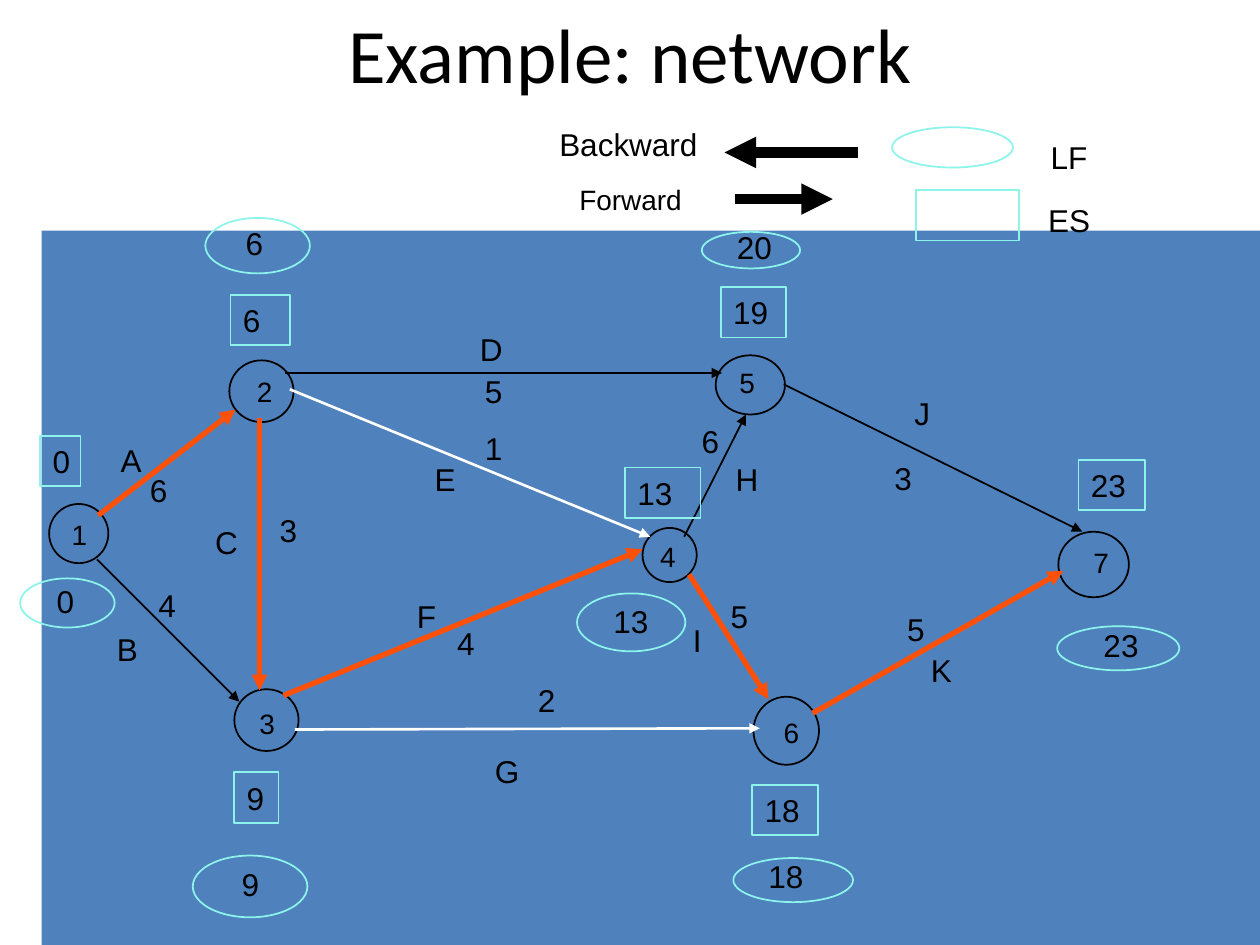
"""Build the project network slide with its forward and backward pass."""
from lxml.etree import SubElement
from pptx import Presentation
from pptx.dml.color import RGBColor
from pptx.enum.shapes import MSO_CONNECTOR, MSO_SHAPE
from pptx.enum.text import MSO_ANCHOR, PP_ALIGN
from pptx.oxml.ns import qn
from pptx.util import Inches, Pt

BLACK = RGBColor(0x00, 0x00, 0x00)
WHITE = RGBColor(0xFF, 0xFF, 0xFF)
BLUE = RGBColor(0x4F, 0x81, 0xBD)
AQUA = RGBColor(0x8C, 0xF4, 0xEA)
ORANGE = RGBColor(0xFF, 0x50, 0x08)

TITLE = "Example: network"
PANEL = (0.33, 1.83, 9.67, 5.67)

NODES = [
    ("1", (0.39, 4, 0.47, 0.47), (0.47, 4.06, 0.23)),
    ("2", (1.82, 2.86, 0.51, 0.49), (1.94, 2.92, 0.49)),
    ("3", (1.86, 5.47, 0.51, 0.49), (1.96, 5.56, 0.25)),
    ("4", (5.1, 4.19, 0.43, 0.43), (5.14, 4.23, 0.32)),
    ("5", (5.68, 2.82, 0.55, 0.47), (5.77, 2.85, 0.48)),
    ("6", (5.98, 5.53, 0.52, 0.54), (6.12, 5.63, 0.55)),
    ("7", (8.4, 4.22, 0.56, 0.52), (8.58, 4.28, 0.73)),
]

PATHS = {
    (ORANGE, 3): [
        (0.78, 4.09, 1.87, 3.25),
        (2.06, 3.32, 2.06, 5.48),
        (2.25, 5.52, 5.1, 4.36),
        (5.47, 4.56, 6.1, 5.55),
        (6.45, 5.66, 8.44, 4.53),
    ],
    (WHITE, 1.5): [
        (2.34, 5.79, 6.03, 5.78),
        (2.3, 3.09, 5.16, 4.26),
    ],
    (BLACK, 1): [
        (0.77, 4.44, 1.9, 5.57),
        (2.26, 2.96, 5.73, 2.96),
        (5.43, 4.26, 5.92, 3.29),
        (6.22, 3.05, 8.59, 4.22),
    ],
    (BLACK, 6): [
        (5.83, 1.58, 6.61, 1.58),
        (6.81, 1.21, 5.75, 1.21),
    ],
}

TASKS = [
    ("A", 0.86, 3.45, 0.43), ("B", 0.83, 4.95, 0.4),
    ("C", 1.61, 4.1, 0.35), ("D", 3.71, 2.57, 0.43),
    ("E", 3.35, 3.6, 0.48), ("F", 3.21, 4.69, 0.32),
    ("G", 3.83, 5.92, 0.44), ("H", 5.74, 3.6, 0.43),
    ("I", 5.4, 4.88, 0.27), ("J", 7.16, 3.08, 0.4),
    ("K", 7.29, 5.12, 0.35),
]

TIMES = [
    ("6", 1.09, 3.69, 0.39), ("4", 1.16, 4.6, 0.43),
    ("3", 2.12, 4.01, 0.35), ("5\n1", 3.75, 2.9, 0.45),
    ("4", 3.53, 4.9, 0.36), ("2", 4.17, 5.36, 0.32),
    ("6", 5.47, 3.3, 0.4), ("5", 5.7, 4.69, 0.57),
    ("3", 7, 3.59, 0.4), ("5", 7.1, 4.79, 0.55),
]

STARTS = [
    ("0", 0.32, 3.46, 0.32), ("6", 1.83, 2.34, 0.47),
    ("9", 1.86, 6.13, 0.35), ("13", 4.96, 3.71, 0.6),
    ("19", 5.72, 2.28, 0.52), ("18", 5.97, 6.23, 0.52),
    ("23", 8.56, 3.65, 0.53),
]

ENDS = [
    ("23", (8.39, 4.97, 0.97, 0.35), (8.66, 4.92, 0.63)),
    ("18", (5.82, 6.81, 0.95, 0.35), (6, 6.75, 0.56)),
    ("20", (5.57, 1.84, 0.78, 0.29), (5.75, 1.76, 0.53)),
    ("13", (4.58, 4.71, 0.86, 0.46), (4.77, 4.73, 0.51)),
    ("9", (1.53, 6.79, 0.91, 0.49), (1.82, 6.82, 0.57)),
    ("6", (1.63, 1.73, 0.83, 0.44), (1.85, 1.73, 0.42)),
    ("0", (0.16, 4.59, 0.75, 0.39), (0.35, 4.57, 0.42)),
]

KEY_OVAL = (7.08, 1.01, 0.96, 0.32)
KEY_BOX = (7.27, 1.51, 0.82, 0.4)
KEYS = [
    ("ES", 8.22, 1.55, 0.87, 18), ("LF", 8.24, 1.05, 0.73, 18),
    ("Forward", 4.5, 1.4, 1.06, 16), ("Backward", 4.34, 0.94, 1.31, 18),
]


def add_run(para, text, size, font):
    run = para.add_run()
    run.text = text
    run.font.size = Pt(size)
    run.font.name = font
    run.font.color.rgb = BLACK


def write(shape, text, size=18):
    frame = shape.text_frame
    frame.word_wrap = True
    frame.vertical_anchor = MSO_ANCHOR.TOP
    for num, line in enumerate(text.split("\n")):
        para = frame.add_paragraph() if num else frame.paragraphs[0]
        para.alignment = PP_ALIGN.LEFT
        para.space_before = Pt(size * 0.625)
        add_run(para, line, size, "Arial")


def add_label(slide, text, left, top, width, size=18):
    lines = text.count("\n") + 1
    height = 0.46 * lines - 0.06 if size == 18 else 0.37
    box = slide.shapes.add_textbox(*map(Inches, (left, top, width, height)))
    write(box, text, size)


def add_form(slide, kind, box, fill=None, line=None):
    shape = slide.shapes.add_shape(kind, *map(Inches, box))
    shape.shadow.inherit = False
    if fill is None:
        shape.fill.background()
    else:
        shape.fill.solid()
        shape.fill.fore_color.rgb = fill
    if line is None:
        shape.line.fill.background()
    else:
        shape.line.color.rgb = line
        shape.line.width = Pt(1)
    return shape


def add_arrow(slide, ends, color, width):
    arrow = slide.shapes.add_connector(MSO_CONNECTOR.STRAIGHT, *map(Inches, ends))
    arrow.line.color.rgb = color
    arrow.line.width = Pt(width)
    SubElement(arrow.line._get_or_add_ln(), qn("a:tailEnd"), type="triangle")
    SubElement(arrow._element.spPr, qn("a:effectLst"))


def add_title(slide):
    title = slide.shapes.title
    title.left, title.top, title.width, title.height = map(Inches, (0.5, 0, 9, 0.83))
    title.text_frame.vertical_anchor = MSO_ANCHOR.MIDDLE
    para = title.text_frame.paragraphs[0]
    para.alignment = PP_ALIGN.CENTER
    add_run(para, TITLE, 44, "Calibri")


def main():
    deck = Presentation()
    deck.slide_width, deck.slide_height = Inches(10), Inches(7.5)
    slide = deck.slides.add_slide(deck.slide_layouts[5])
    add_title(slide)
    add_form(slide, MSO_SHAPE.RECTANGLE, PANEL, BLUE)
    for _, oval, _ in NODES:
        add_form(slide, MSO_SHAPE.OVAL, oval, BLUE, BLACK)
    for style, paths in PATHS.items():
        for ends in paths:
            add_arrow(slide, ends, *style)
    for name, _, place in NODES:
        add_label(slide, name, *place, size=16)
    for item in TASKS + TIMES + KEYS:
        add_label(slide, *item)
    for text, *place in STARTS:
        write(add_form(slide, MSO_SHAPE.RECTANGLE, (*place, 0.4), line=AQUA), text)
    for text, oval, place in ENDS:
        add_form(slide, MSO_SHAPE.OVAL, oval, line=AQUA)
        add_label(slide, text, *place)
    add_form(slide, MSO_SHAPE.OVAL, KEY_OVAL, line=AQUA)
    add_form(slide, MSO_SHAPE.RECTANGLE, KEY_BOX, line=AQUA)
    deck.save("out.pptx")


if __name__ == "__main__":
    main()
